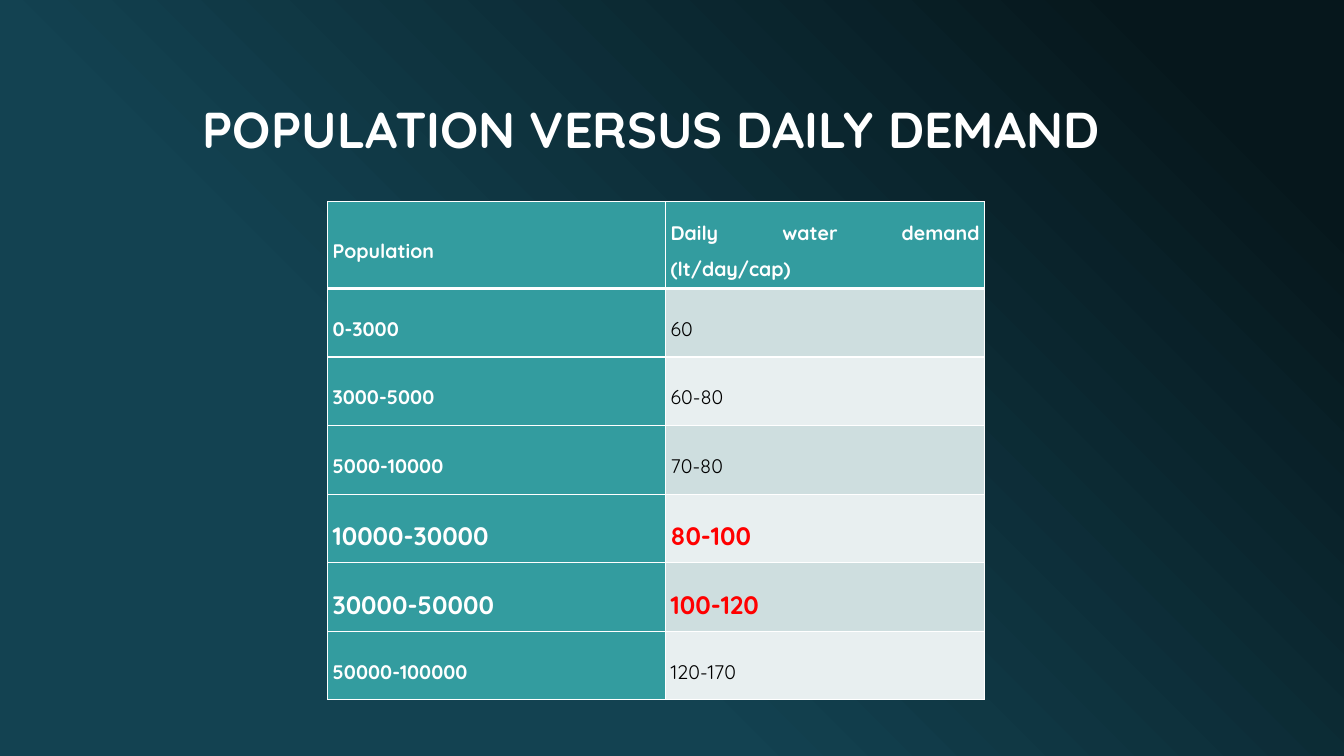
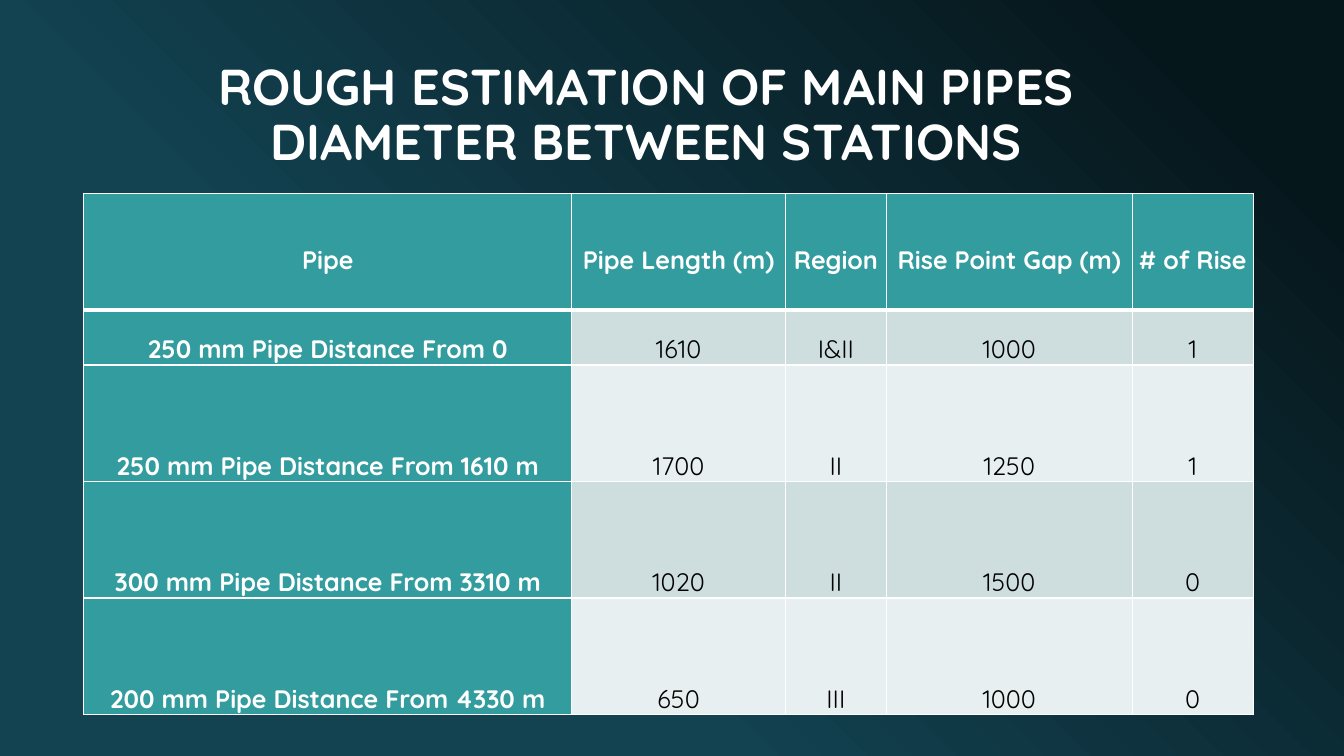
from lxml.etree import SubElement
from pptx import Presentation
from pptx.dml.color import RGBColor
from pptx.enum.text import MSO_ANCHOR, MSO_AUTO_SIZE, PP_ALIGN
from pptx.oxml.ns import qn
from pptx.util import Pt

FONT = "Quicksand"
WHITE = RGBColor(0xFF, 0xFF, 0xFF)
BLACK = RGBColor(0, 0, 0)
RED = RGBColor(0xFF, 0, 0)
TEAL = RGBColor(0x33, 0x9C, 0x9F)
BANDS = (RGBColor(0xCE, 0xDE, 0xDF), RGBColor(0xE8, 0xEF, 0xF0))
GRADIENT = ((0.1, RGBColor(0x06, 0x17, 0x1C)), (0.65, RGBColor(0x13, 0x42, 0x51)))

SLIDES = [
    {
        "title": "POPULATION VERSUS DAILY DEMAND",
        "title_box": (137.5, 2, 720, 115.2),
        "title_align": PP_ALIGN.LEFT,
        "table_at": (234, 144),
        "columns": (241.5, 228),
        "row_heights": (62, 49, 49, 49, 49, 49, 49),
        "align": PP_ALIGN.JUSTIFY,
        "body_anchor": MSO_ANCHOR.MIDDLE,
        "size": 14,
        "space_after": 8,
        "highlighted_rows": (4, 5),
        "rows": [
            ("Population", "Daily water demand (lt/day/cap)"),
            ("0-3000", "60"),
            ("3000-5000", "60-80"),
            ("5000-10000", "70-80"),
            ("10000-30000", "80-100"),
            ("30000-50000", "100-120"),
            ("50000-100000", "120-170"),
        ],
    },
    {
        "title": "ROUGH ESTIMATION OF MAIN PIPES DIAMETER BETWEEN STATIONS",
        "title_box": (101.5, 30, 720, 96),
        "title_align": PP_ALIGN.CENTER,
        "table_at": (59.75, 138.25),
        "columns": (348.75, 152.5, 72.25, 175.5, 86.5),
        "row_heights": (83.25, 39.25, 83.25, 83.25, 83.25),
        "align": PP_ALIGN.CENTER,
        "body_anchor": MSO_ANCHOR.BOTTOM,
        "size": 18,
        "space_after": 0,
        "highlighted_rows": (),
        "rows": [
            ("Pipe", "Pipe Length (m)", "Region", "Rise Point Gap (m)", "# of Rise"),
            ("250 mm Pipe Distance From 0", "1610", "I&II", "1000", "1"),
            ("250 mm Pipe Distance From 1610 m", "1700", "II", "1250", "1"),
            ("300 mm Pipe Distance From 3310 m", "1020", "II", "1500", "0"),
            ("200 mm Pipe Distance From 4330 m", "650", "III", "1000", "0"),
        ],
    },
]


def write_text(frame, text, *, size, color=WHITE, bold=True, align=PP_ALIGN.LEFT,
               line_spacing=1.0, space_after=0):
    frame.word_wrap = True
    paragraph = frame.paragraphs[0]
    paragraph.alignment = align
    paragraph.line_spacing = line_spacing
    paragraph.space_before = Pt(0)
    paragraph.space_after = Pt(space_after)
    run = paragraph.add_run()
    run.text = text
    run.font.name = FONT
    run.font.size = Pt(size)
    run.font.bold = bold
    run.font.color.rgb = color


def set_borders(cell, row):
    """Draw white cell borders, with a thick rule between header and body."""
    properties = cell._tc.get_or_add_tcPr()
    widths = {"lnL": 1, "lnR": 1, "lnT": 3 if row == 1 else 1, "lnB": 3 if row == 0 else 1}
    for side, width in widths.items():
        line = SubElement(properties, qn(f"a:{side}"), w=str(Pt(width)))
        fill = SubElement(line, qn("a:solidFill"))
        SubElement(fill, qn("a:srgbClr"), val=str(WHITE))


def set_background(master):
    fill = master.background.fill
    fill.gradient()
    fill.gradient_angle = 225
    for stop, (position, color) in zip(fill.gradient_stops, GRADIENT):
        stop.position = position
        stop.color.rgb = color


def add_title(slide, content):
    title = slide.shapes.title
    title.left, title.top, title.width, title.height = map(Pt, content["title_box"])
    frame = title.text_frame
    frame.auto_size = MSO_AUTO_SIZE.NONE
    frame.vertical_anchor = MSO_ANCHOR.BOTTOM
    write_text(frame, content["title"], size=36, align=content["title_align"],
               line_spacing=0.9)


def format_cell(cell, text, row, column, content):
    is_label = row == 0 or column == 0
    highlighted = row in content["highlighted_rows"]
    set_borders(cell, row)
    cell.fill.solid()
    cell.fill.fore_color.rgb = TEAL if is_label else BANDS[(row - 1) % 2]
    cell.margin_left = cell.margin_right = Pt(3.6)
    cell.margin_top = cell.margin_bottom = Pt(0)
    cell.vertical_anchor = MSO_ANCHOR.MIDDLE if row == 0 else content["body_anchor"]
    write_text(
        cell.text_frame, text,
        size=18 if highlighted else content["size"],
        color=WHITE if is_label else RED if highlighted else BLACK,
        bold=is_label or highlighted,
        align=content["align"], line_spacing=1.5, space_after=content["space_after"],
    )


def add_data_table(slide, content):
    rows, columns, heights = content["rows"], content["columns"], content["row_heights"]
    left, top = content["table_at"]
    table = slide.shapes.add_table(len(rows), len(columns), Pt(left), Pt(top),
                                   Pt(sum(columns)), Pt(sum(heights))).table
    for column, width in zip(table.columns, columns):
        column.width = Pt(width)
    for row, height in zip(table.rows, heights):
        row.height = Pt(height)
    for row, texts in enumerate(rows):
        for column, text in enumerate(texts):
            format_cell(table.cell(row, column), text, row, column, content)


def main():
    presentation = Presentation()
    presentation.slide_width, presentation.slide_height = Pt(960), Pt(540)
    set_background(presentation.slide_master)
    title_only = presentation.slide_layouts[5]
    for content in SLIDES:
        slide = presentation.slides.add_slide(title_only)
        add_title(slide, content)
        add_data_table(slide, content)
    presentation.save("out.pptx")


if __name__ == "__main__":
    main()
